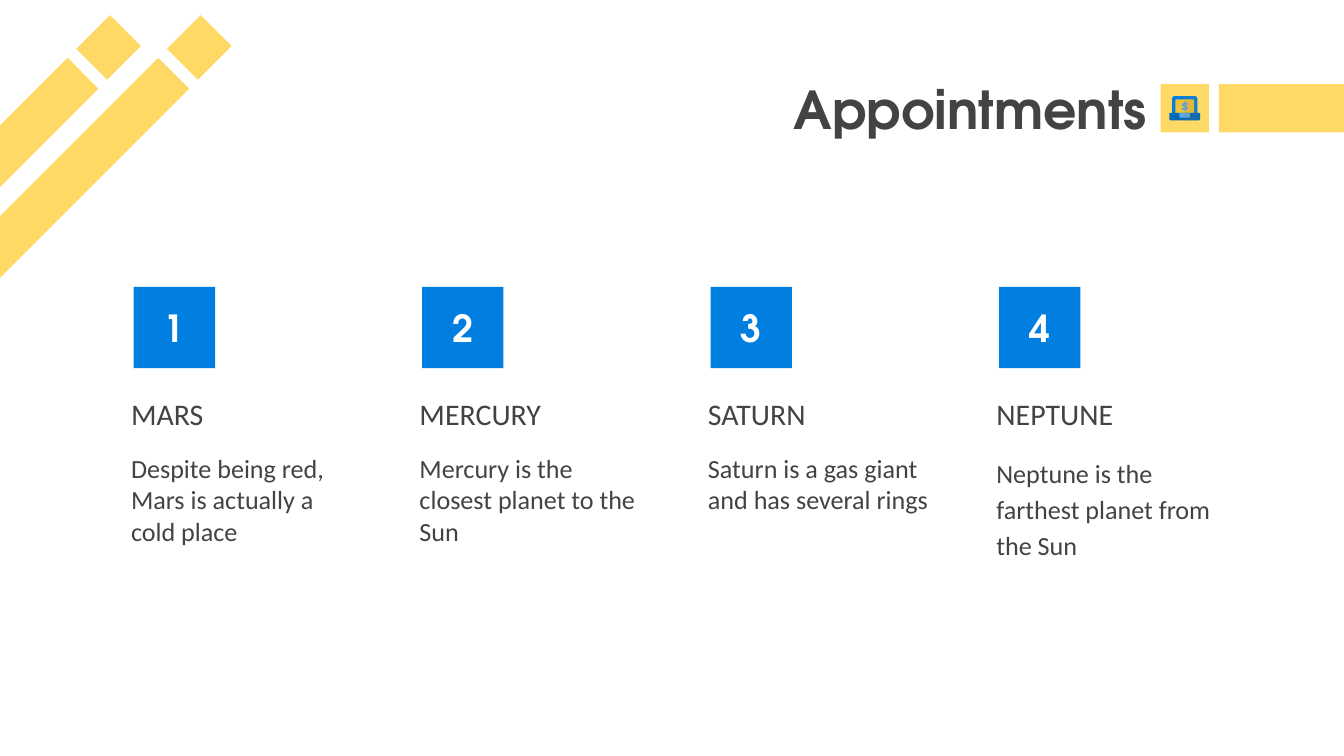
from collections import namedtuple
from math import cos, pi, sin

from lxml import etree
from pptx import Presentation
from pptx import util as u
from pptx.dml import color
from pptx.enum import shapes, text
from pptx.oxml import ns

CELL = u.Inches(0.25)
COLUMNS, ROWS = 80, 45
YELLOW, BLUE, NAVY, SKY, GOLD = "FFD966", "007FE0", "0069B8", "5DA8E2", "F1C232"
INK, WHITE, SHADE = "434343", "FFFFFF", "7B7B7B"
HEADING_FONT, BODY_FONT = "TeX Gyre Adventor", "Calibri"

Box = namedtuple("Box", "left top width height")

TITLE = dict(size=u.Pt(56), name=HEADING_FONT, bold=True)
NUMBER = dict(size=u.Pt(40), name=HEADING_FONT, bold=True)
LABEL = dict(size=u.Pt(32), name=BODY_FONT)
BODY = dict(size=u.Pt(28), name=BODY_FONT)

DOLLAR = [
    (0.4, 0), (0.6, 0), (0.6, 0.14), (1, 0.14), (1, 0.36), (0.38, 0.36),
    (0.38, 0.43), (0.7, 0.43), (1, 0.64), (1, 0.75), (0.75, 0.93), (0.6, 0.93),
    (0.6, 1), (0.4, 1), (0.4, 0.93), (0, 0.93), (0, 0.71), (0.62, 0.71),
    (0.62, 0.64), (0.3, 0.64), (0, 0.43), (0, 0.32), (0.25, 0.14), (0.4, 0.14),
]

CARDS = [
    ("MARS", "Despite being red, Mars is actually a cold place", {}, {}),
    ("MERCURY", "Mercury is the closest planet to the Sun", {}, {}),
    ("SATURN", "Saturn is a gas giant and has several rings", {}, {}),
    ("NEPTUNE", "Neptune is the farthest planet from the Sun",
     dict(line_spacing=1.15), dict(line_spacing=1.15, space_after=u.Pt(32))),
]


def rgb(value):
    return color.RGBColor.from_string(value)


def apply(target, formats):
    for name, value in formats.items():
        setattr(target, name, value)


def inside(box, left, top, width, height):
    return Box(box.left + left, box.top + top, width, height)


def emu(box):
    return [round(length * CELL) for length in box]


def paint(shape, fill, opacity=100):
    shape.shadow.inherit = False
    shape.fill.solid()
    shape.fill.fore_color.rgb = rgb(fill)
    shape.line.fill.background()
    if opacity < 100:
        tone = shape.fill._xPr.find(".//" + ns.qn("a:srgbClr"))
        etree.SubElement(tone, ns.qn("a:alpha"), val=str(opacity * 1000))


def block(page, box, fill, rotation=0):
    shape = page.shapes.add_shape(shapes.MSO_SHAPE.RECTANGLE, *emu(box))
    paint(shape, fill)
    shape.rotation = rotation
    return shape


def write(shape, words, font, tint, anchor, align=text.PP_ALIGN.LEFT, spacing=None):
    frame = shape.text_frame
    margins = {f"margin_{side}": u.Inches(0.2) for side in ("left", "right", "top", "bottom")}
    apply(frame, dict(word_wrap=True, vertical_anchor=anchor, **margins))
    para = frame.paragraphs[0]
    apply(para, dict(alignment=align, **(spacing or {})))
    span = para.add_run()
    span.text = words
    apply(span.font, font)
    span.font.color.rgb = rgb(tint)


def text_box(page, box, *args, **kwargs):
    write(page.shapes.add_textbox(*emu(box)), *args, **kwargs)


def outline(page, box, points, fill, opacity=100):
    places = [(round((box.left + x * box.width) * CELL),
               round((box.top + y * box.height) * CELL)) for x, y in points]
    builder = page.shapes.build_freeform(*places[0])
    builder.add_line_segments(places[1:], close=True)
    paint(builder.convert_to_shape(), fill, opacity)


def rounded(left, top, right, bottom, upper, lower):
    corners = [(left + upper, top + upper, upper, 2), (right - upper, top + upper, upper, 3),
               (right - lower, bottom - lower, lower, 0), (left + lower, bottom - lower, lower, 1)]
    return [(x + radius * cos((turn + step / 4) * pi / 2),
             y + radius * sin((turn + step / 4) * pi / 2))
            for x, y, radius, turn in corners for step in range(5)]


def laptop(page, box):
    sign = [(0.41 + 0.18 * x, 0.22 + 0.39 * y) for x, y in DOLLAR]
    parts = [
        (rounded(0.09, 0, 0.91, 0.78, 0.1, 0.02), BLUE),
        (rounded(0.2, 0.14, 0.8, 0.78, 0.04, 0.02), GOLD),
        (rounded(0, 0.69, 1, 1, 0.04, 0.04), NAVY),
        (rounded(0.33, 0.69, 0.67, 0.89, 0, 0.03), SKY),
        (sign, SKY),
    ]
    for points, fill in parts:
        outline(page, box, points, fill)
        outline(page, box, [(max(x, 0.5), y) for x, y in points], SHADE, 15)


def corner_stripes(page, box):
    for shift in (5.4, 0):
        block(page, inside(box, 5.04 + shift, 1.52, 2.84, 2.6), YELLOW, 315)
        block(page, inside(box, -15.68 + shift, 11.6, 24.16, 2.6), YELLOW, 315)


def header(page, box):
    block(page, inside(box, 57.72, 0.44, 7.44, 2.88), YELLOW)
    block(page, inside(box, 54.24, 0.44, 2.88, 2.88), YELLOW)
    text_box(page, inside(box, 0, 0, 54.24, box.height), "Appointments", TITLE, INK,
             text.MSO_ANCHOR.MIDDLE, text.PP_ALIGN.RIGHT)
    laptop(page, inside(box, 54.76, 1.16, 1.84, 1.44))


def card(page, box, number, label, body, label_spacing, body_spacing):
    tile = block(page, inside(box, 0.96, 0, 4.84, 4.84), BLUE)
    write(tile, str(number), NUMBER, WHITE, text.MSO_ANCHOR.MIDDLE, text.PP_ALIGN.CENTER)
    text_box(page, inside(box, 0, 5.12, box.width, 4.28), label, LABEL, INK,
             text.MSO_ANCHOR.BOTTOM, spacing=label_spacing)
    text_box(page, inside(box, 0, 9.04, box.width, 9.92), body, BODY, INK,
             text.MSO_ANCHOR.TOP, spacing=body_spacing)


def main():
    deck = Presentation()
    apply(deck, dict(slide_width=COLUMNS * CELL, slide_height=ROWS * CELL))
    page = deck.slides.add_slide(deck.slide_layouts[6])
    corner_stripes(page, Box(0, 0, 14, 17))
    header(page, Box(14.84, 4.56, 65.16, 3.76))
    for index, content in enumerate(CARDS):
        card(page, Box(7 + 17.17 * index, 17.08, 14.76, 18.96), index + 1, *content)
    deck.save("out.pptx")


if __name__ == "__main__":
    main()
